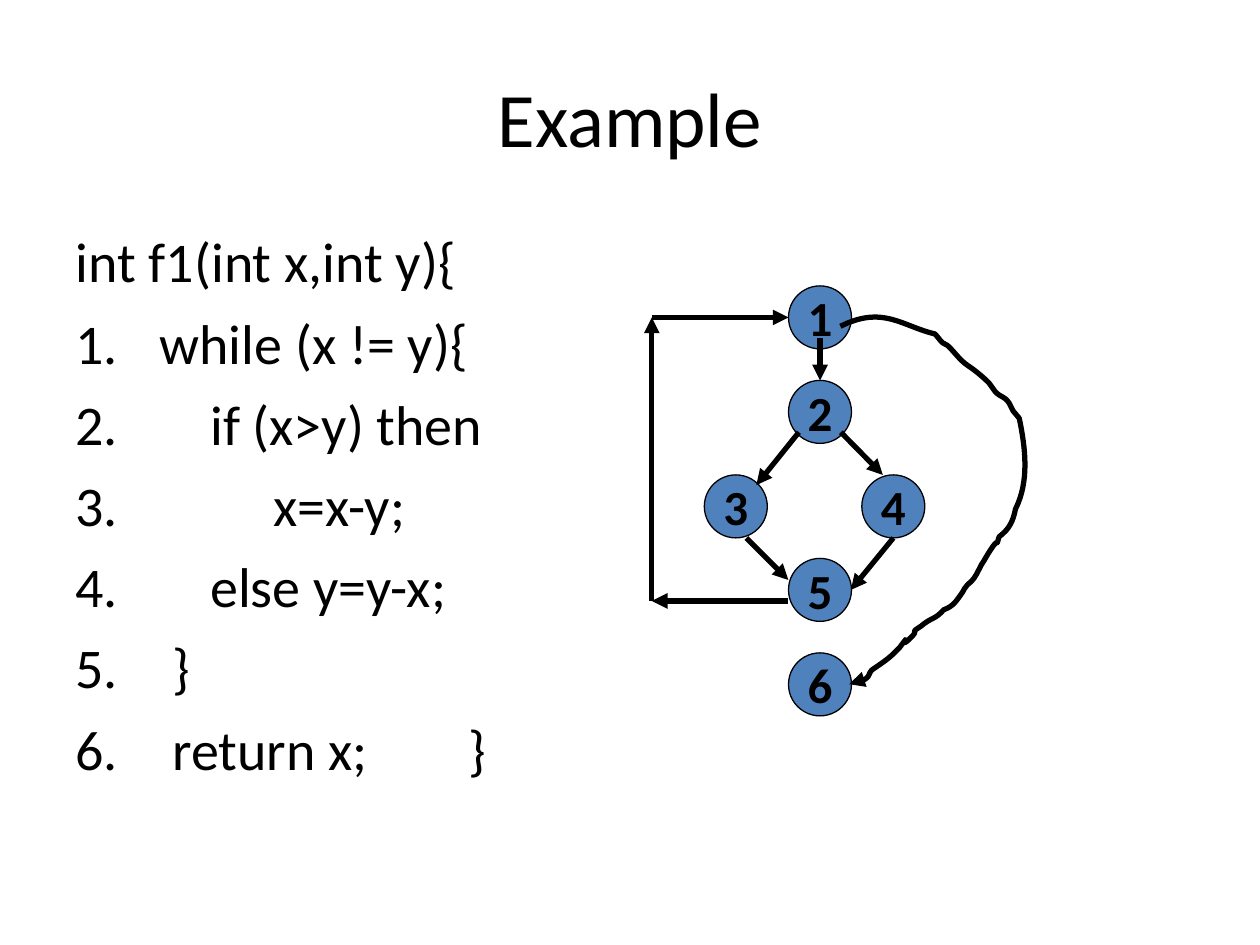
from dataclasses import dataclass

from pptx import Presentation
from pptx.dml.color import RGBColor
from pptx.enum import shapes, text
from pptx.oxml import ns, xmlchemy
from pptx.util import Pt


@dataclass(frozen=True)
class Theme:
    font: str = "Calibri"
    ink: RGBColor = RGBColor(0, 0, 0)
    node_fill: RGBColor = RGBColor(0x4F, 0x81, 0xBD)
    title_size: int = 44
    code_size: int = 32
    node_size: int = 28
    outline: float = 0.75
    edge: float = 3


theme = Theme()


def add_element(parent, tag, **attributes):
    child = xmlchemy.OxmlElement(tag)
    for name, value in attributes.items():
        child.set(name, value)
    parent.append(child)
    return child


def style_font(paragraph, size, bold=False):
    for run in paragraph.runs:
        run.font.name = theme.font
        run.font.size = Pt(size)
        run.font.bold = bold
        run.font.color.rgb = theme.ink


presentation = Presentation()
presentation.slide_width, presentation.slide_height = Pt(720), Pt(540)
slide = presentation.slides.add_slide(presentation.slide_layouts[1])

# Title
title = slide.shapes.title
title.left, title.top, title.width, title.height = Pt(36), Pt(21.6), Pt(648), Pt(90)
title.text_frame.text = "Example"
title.text_frame.vertical_anchor = text.MSO_ANCHOR.MIDDLE
heading = title.text_frame.paragraphs[0]
heading.alignment = text.PP_ALIGN.CENTER
style_font(heading, theme.title_size)

# Code listing: a signature followed by numbered statements
listing = slide.placeholders[1]
listing.left, listing.top, listing.width, listing.height = Pt(36), Pt(126), Pt(648), Pt(356.4)
code_lines = [
    "int f1(int x,int y){",
    "while (x != y){",
    "    if (x>y) then",
    "         x=x-y;",
    "    else y=y-x;",
    " }",
    " return x;\t}",
]
listing.text_frame.text = "\n".join(code_lines)
for number, statement in enumerate(listing.text_frame.paragraphs):
    properties = statement._p.get_or_add_pPr()
    properties.set("marL", str(Pt(48)))
    properties.set("indent", str(Pt(-48)))
    if number == 0:
        add_element(properties, "a:buNone")
    else:
        add_element(properties, "a:buFont", typeface=theme.font)
        add_element(properties, "a:buAutoNum", type="arabicPeriod")
    if "\t" in statement.text:
        stops = add_element(properties, "a:tabLst")
        add_element(stops, "a:tab", pos=str(Pt(224.5)), algn="l")
    statement.space_before = Pt(8 if number else 0)
    style_font(statement, theme.code_size)

# Control-flow nodes, placed by centre
diameter = 36
node_centres = {
    "1": (468.6, 181.4),
    "2": (468.6, 235.4),
    "3": (420.5, 289.4),
    "4": (510.5, 289.4),
    "5": (468.6, 337.1),
    "6": (468.6, 391.1),
}
for label, (x, y) in node_centres.items():
    node = slide.shapes.add_shape(
        shapes.MSO_SHAPE.OVAL,
        Pt(x - diameter / 2), Pt(y - diameter / 2), Pt(diameter), Pt(diameter))
    node.shadow.inherit = False
    node.fill.solid()
    node.fill.fore_color.rgb = theme.node_fill
    node.line.color.rgb = theme.ink
    node.line.width = Pt(theme.outline)
    node.text_frame.word_wrap = False
    node.text_frame.vertical_anchor = text.MSO_ANCHOR.MIDDLE
    node.text_frame.text = label
    node.text_frame.paragraphs[0].alignment = text.PP_ALIGN.CENTER
    style_font(node.text_frame.paragraphs[0], theme.node_size, bold=True)

# Straight edges; the last three form the loop from 5 back to 1
loop_x, loop_top, loop_bottom = 372.5, 181.4, 343.4
straight_edges = [
    ((468.6, 193), (468.6, 217.4)),
    ((456.5, 247), (432.2, 277.2)),
    ((480.5, 247), (504.5, 271.4)),
    ((426.5, 307.4), (450.5, 331.4)),
    ((510.5, 307.4), (486.2, 337.1)),
    ((450.2, loop_bottom), (loop_x, loop_bottom)),
    ((loop_x, loop_bottom), (loop_x, loop_top)),
    ((loop_x, loop_top), (450.6, loop_top)),
]
edges = []
for (x1, y1), (x2, y2) in straight_edges:
    edge = slide.shapes.add_connector(
        shapes.MSO_CONNECTOR.STRAIGHT, Pt(x1), Pt(y1), Pt(x2), Pt(y2))
    edges.append(edge)

# Hand-drawn exit edge from 1 to 6: cubic segments (two controls, end), in inches
exit_start = (6.67, 2.59)
exit_curves = [
    (7.01, 2.42, 7.16, 2.59, 7.42, 2.65), (7.44, 2.67, 7.46, 2.7, 7.48, 2.72),
    (7.49, 2.73, 7.51, 2.73, 7.53, 2.75), (7.58, 2.8, 7.62, 2.86, 7.68, 2.9),
    (7.74, 2.94, 7.8, 2.99, 7.85, 3.04), (7.87, 3.06, 7.88, 3.09, 7.9, 3.11),
    (7.95, 3.16, 7.97, 3.14, 8.01, 3.2), (8.02, 3.22, 8.03, 3.24, 8.04, 3.26),
    (8.06, 3.28, 8.07, 3.3, 8.09, 3.32), (8.14, 3.56, 8.17, 3.82, 8.06, 4.04),
    (8.04, 4.14, 8.01, 4.2, 7.93, 4.26), (7.89, 4.39, 7.96, 4.19, 7.81, 4.45),
    (7.78, 4.49, 7.76, 4.55, 7.73, 4.59), (7.72, 4.61, 7.7, 4.62, 7.68, 4.64),
    (7.66, 4.66, 7.65, 4.68, 7.64, 4.7), (7.59, 4.77, 7.57, 4.81, 7.49, 4.84),
    (7.42, 4.92, 7.39, 4.9, 7.31, 4.97), (7.2, 5.04, 7.31, 4.98, 7.23, 5.06),
    (7.11, 5.18, 7.26, 4.98, 7.14, 5.14), (7.12, 5.15, 7.12, 5.17, 7.1, 5.18),
    (7.05, 5.23, 6.99, 5.27, 6.93, 5.31), (6.91, 5.32, 6.9, 5.35, 6.89, 5.37),
    (6.86, 5.4, 6.78, 5.43, 6.74, 5.43),
]
exit_points = [
    (Pt(72 * curve[i]), Pt(72 * curve[i + 1]))
    for curve in [exit_start, *exit_curves] for i in range(0, len(curve), 2)]
builder = slide.shapes.build_freeform(*exit_points[0])
builder.add_line_segments(exit_points[1:], close=False)
exit_edge = builder.convert_to_shape()
exit_edge.fill.background()
edges.append(exit_edge)

# Each three straight segments become the controls and end of one cubic curve
outline = next(exit_edge._element.iter(ns.qn("a:path")))
segments = outline.findall(ns.qn("a:lnTo"))
for first in range(0, len(segments), 3):
    cubic = add_element(outline, "a:cubicBezTo")
    for segment in segments[first:first + 3]:
        cubic.append(segment[0])
        outline.remove(segment)

for edge in edges:
    edge.line.color.rgb = theme.ink
    edge.line.width = Pt(theme.edge)
    drawing = edge._element.spPr
    add_element(drawing.find(ns.qn("a:ln")), "a:tailEnd", type="triangle")
    add_element(drawing, "a:effectLst")

presentation.save("out.pptx")
